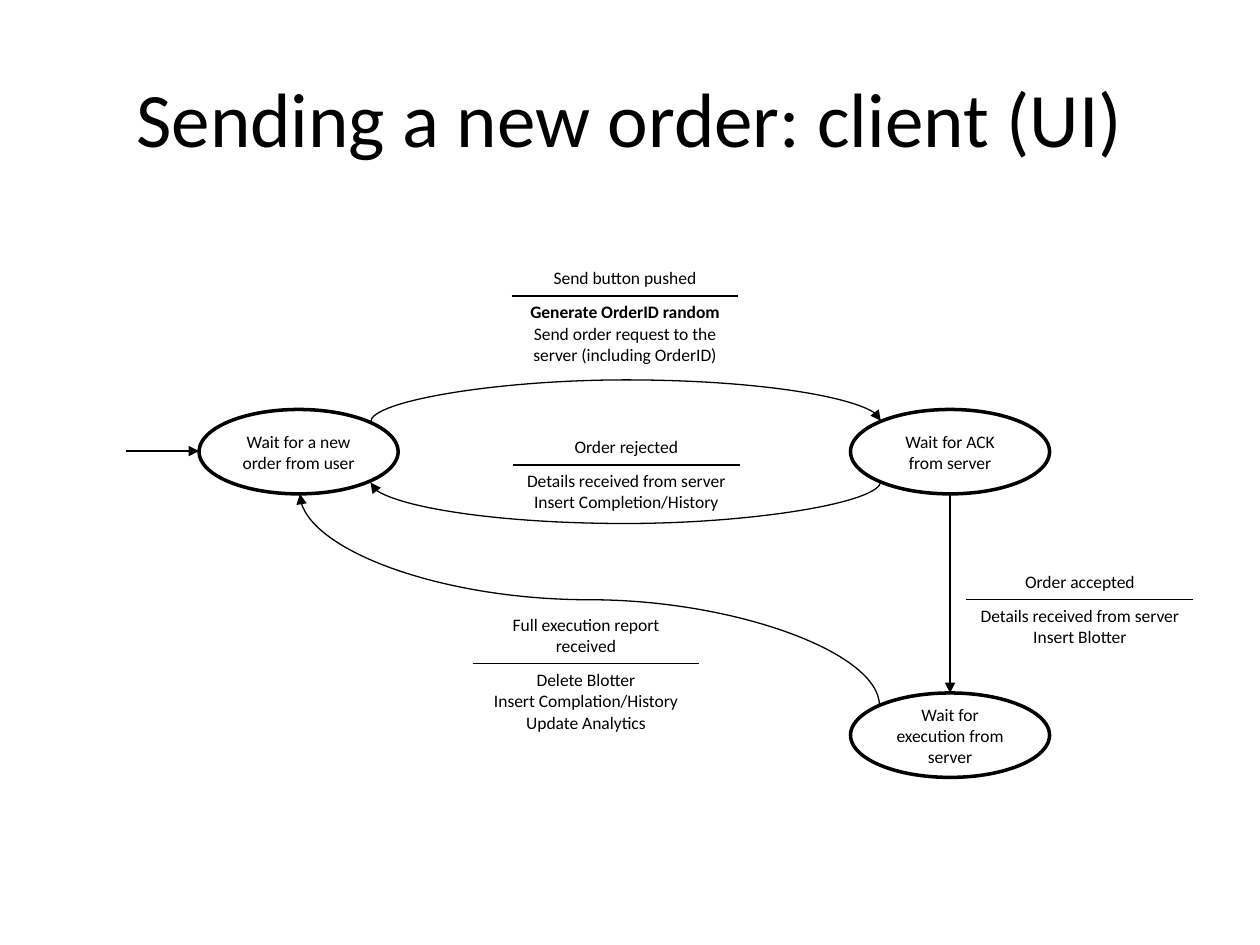
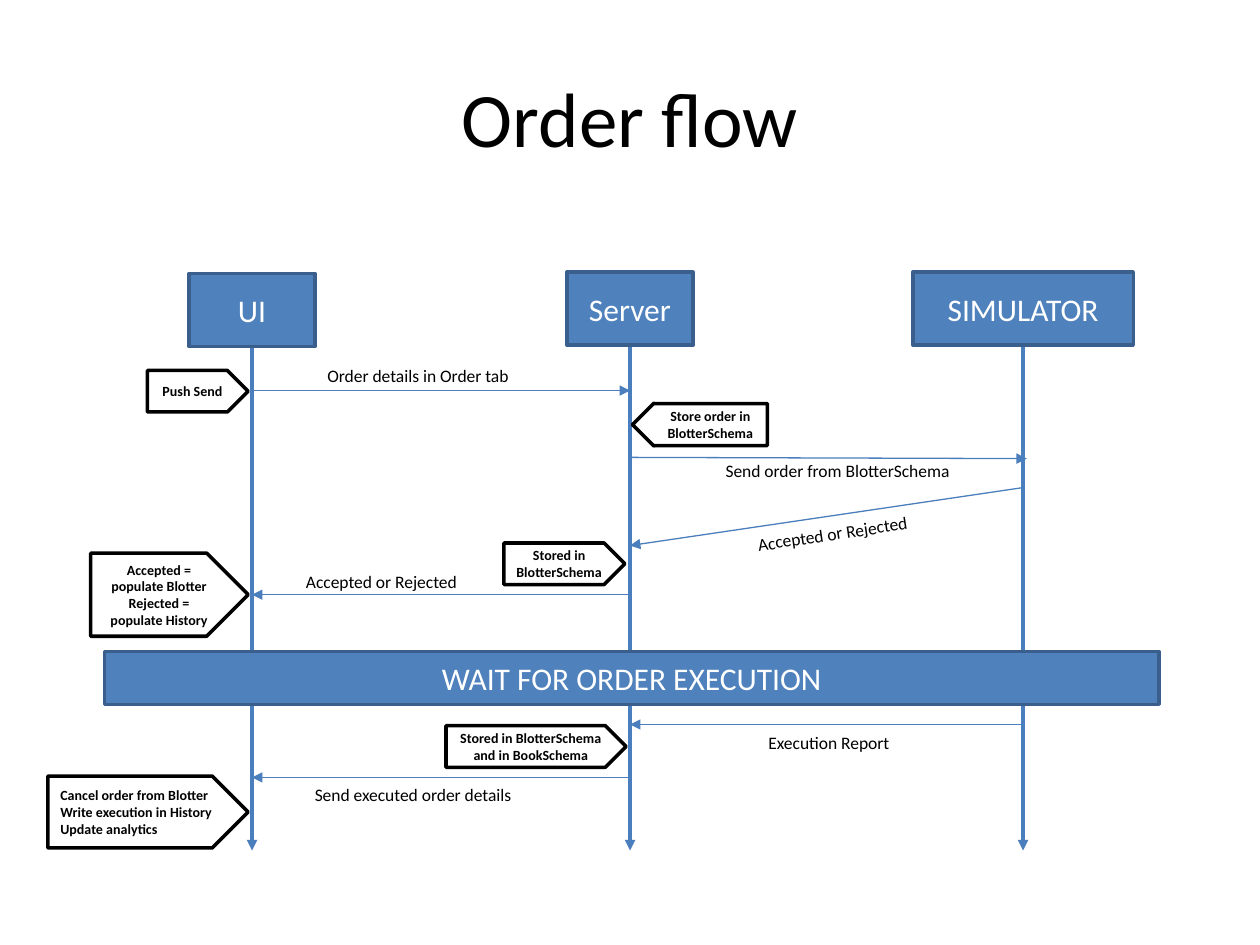
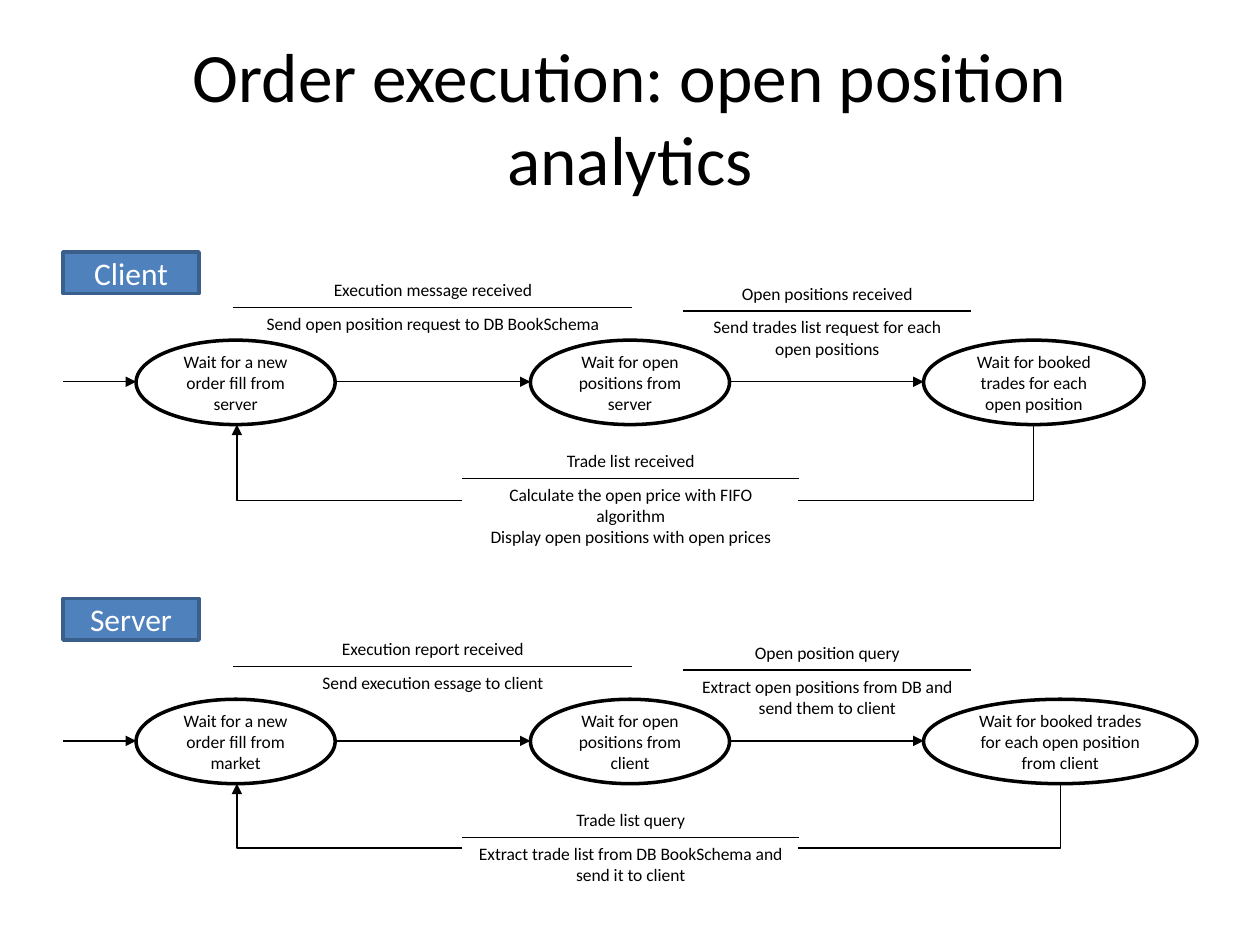
import math

import pptx
import pptx.dml.color
import pptx.enum.shapes
import pptx.enum.text
import pptx.oxml
import pptx.oxml.ns
import pptx.util

Inches = pptx.util.Inches
Pt = pptx.util.Pt
SHAPE = pptx.enum.shapes.MSO_SHAPE
LINE = pptx.enum.shapes.MSO_CONNECTOR
ALIGN = pptx.enum.text.PP_ALIGN
ANCHOR = pptx.enum.text.MSO_ANCHOR
AUTO_SIZE = pptx.enum.text.MSO_AUTO_SIZE

BLACK = pptx.dml.color.RGBColor(0x00, 0x00, 0x00)
WHITE = pptx.dml.color.RGBColor(0xFF, 0xFF, 0xFF)
BLUE = pptx.dml.color.RGBColor(0x4F, 0x81, 0xBD)
DARK_BLUE = pptx.dml.color.RGBColor(0x3A, 0x5F, 0x8C)
LINE_BLUE = pptx.dml.color.RGBColor(0x4B, 0x7E, 0xBC)
FONT = "Calibri"
PLAIN_TABLE_STYLE = "{2D5ABB26-0587-4C30-8999-92F81FD0307C}"
DRAWING_NS = pptx.oxml.ns.nsdecls("a")

# Looks of boxes: fill, line, text colour, text size, bold
STATE = (None, BLACK, BLACK, 10, False)
ACTOR = (BLUE, DARK_BLUE, WHITE, 18, False)
NOTE = (None, BLACK, BLACK, 8, True)


def write_text(frame, lines, size, color=BLACK, bold=False, align=ALIGN.CENTER):
    """Write one paragraph per line; a leading * makes that line bold."""
    for number, line in enumerate(lines):
        paragraph = frame.paragraphs[0] if number == 0 else frame.add_paragraph()
        paragraph.alignment = align
        run = paragraph.add_run()
        run.text = line.lstrip("*")
        run.font.name = FONT
        run.font.size = Pt(size)
        run.font.bold = bold or line.startswith("*")
        run.font.color.rgb = color


def connect(slide, start, end, color=BLACK, width=0.75, arrow=True,
            kind=LINE.STRAIGHT, turn=0, bend_y=None):
    """Draw a connector; turn is the rotation in degrees of a routed one."""
    center_x, center_y = (start[0] + end[0]) / 2, (start[1] + end[1]) / 2
    cosine, sine = math.cos(math.radians(turn)), math.sin(math.radians(turn))
    ends = []
    for x, y in (start, end):
        dx, dy = x - center_x, y - center_y
        ends += [Inches(center_x + dx * cosine + dy * sine),
                 Inches(center_y - dx * sine + dy * cosine)]
    connector = slide.shapes.add_connector(kind, *ends)
    connector.line.color.rgb = color
    connector.line.width = Pt(width)
    properties = connector.element.spPr
    if turn:
        properties.find(pptx.oxml.ns.qn("a:xfrm")).set("rot", str(turn * 60000))
    geometry = properties.find(pptx.oxml.ns.qn("a:prstGeom"))
    if kind == LINE.ELBOW:
        geometry.set("prst", "bentConnector2")
    if bend_y is not None:
        share = round((bend_y - start[1]) / (end[1] - start[1]) * 100000)
        guides = geometry.find(pptx.oxml.ns.qn("a:avLst"))
        guides.append(pptx.oxml.parse_xml(
            f'<a:gd {DRAWING_NS} name="adj1" fmla="val {share}"/>'))
    if arrow:
        properties.find(pptx.oxml.ns.qn("a:ln")).append(
            pptx.oxml.parse_xml(f'<a:tailEnd {DRAWING_NS} type="triangle"/>'))
    properties.append(pptx.oxml.parse_xml(f"<a:effectLst {DRAWING_NS}/>"))


presentation = pptx.Presentation()
presentation.slide_width = Inches(10)
presentation.slide_height = Inches(7.5)

slides = []
for title, size in (("Sending a new order: client (UI)", 44),
                    ("Order flow", 44),
                    ("Order execution: open position analytics", 39.6)):
    slide = presentation.slides.add_slide(presentation.slide_layouts[5])
    placeholder = slide.shapes.title
    placeholder.left, placeholder.top = Inches(0.5), Inches(0.3)
    placeholder.width, placeholder.height = Inches(9), Inches(1.25)
    placeholder.text_frame.auto_size = AUTO_SIZE.NONE
    placeholder.text_frame.vertical_anchor = ANCHOR.MIDDLE
    write_text(placeholder.text_frame, [title], size)
    slides.append(slide)
client_slide, flow_slide, analytics_slide = slides

# Boxes: slide, look, shape, left, top, width, height, lines
boxes = [
    (client_slide, STATE, SHAPE.OVAL, left, top, 1.58, 0.67, [text])
    for left, top, text in (
        (1.58, 3.25, "Wait for a new order from user"),
        (6.75, 3.25, "Wait for ACK from server"),
        (6.75, 5.5, "Wait for execution from server"))
]
# Transitions: slide, left, top, width, event, actions
transitions = [
    (client_slide, 4.06, 2.08, 1.8, "Send button pushed",
     ["*Generate OrderID random",
      "Send order request to the server (including OrderID)"]),
    (client_slide, 4.07, 3.42, 1.8, "Order rejected",
     ["Details received from server", "Insert Completion/History"]),
    (client_slide, 7.67, 4.49, 1.8, "Order accepted",
     ["Details received from server", "Insert Blotter"]),
    (client_slide, 3.75, 4.83, 1.8, "Full execution report received",
     ["Delete Blotter", "Insert Complation/History", "Update Analytics"]),
]

# Client state machine
connect(client_slide, (1, 3.58), (1.58, 3.58))
connect(client_slide, (7.54, 3.92), (7.54, 5.5))
for start, end, turn, bend_y in (
        ((2.94, 3.35), (6.99, 3.34), 90, 3.01),
        ((6.99, 3.82), (2.94, 3.83), 90, 4.16),
        ((6.98, 5.6), (2.38, 3.92), 270, 4.76)):
    connect(client_slide, start, end, kind=LINE.CURVE, turn=turn, bend_y=bend_y)

# Order flow: lifelines, messages and their labels
UI_X, SERVER_X, MARKET_X = 2, 5, 8.12
for center, top, width, name in ((UI_X, 2.17, 1, "UI"),
                                 (SERVER_X, 2.16, 1, "Server"),
                                 (MARKET_X, 2.16, 1.75, "SIMULATOR")):
    connect(flow_slide, (center, top + 0.58), (center, 6.75), LINE_BLUE, 2)
    boxes.append((flow_slide, ACTOR, SHAPE.RECTANGLE,
                  center - width / 2, top, width, 0.58, [name]))

for start, end, left, top, width, turn, text in (
        ((UI_X, 3.1), (SERVER_X, 3.1), 2.5, 2.85, 1.67, 0,
         "Order details in Order tab"),
        ((MARKET_X, 3.87), (SERVER_X, 4.33), 5.91, 4.1, 1.42, 351.5,
         "Accepted or Rejected"),
        ((SERVER_X, 3.63), (8.15, 3.64), 5.66, 3.6, 2.01, 0,
         "Send order from BlotterSchema"),
        ((SERVER_X, 4.72), (UI_X, 4.72), 2.33, 4.48, 1.42, 0,
         "Accepted or Rejected"),
        ((MARKET_X, 5.75), (SERVER_X, 5.75), 6, 5.76, 1.18, 0,
         "Execution Report"),
        ((SERVER_X, 6.17), (UI_X, 6.17), 2.4, 6.17, 1.8, 0,
         "Send executed order details")):
    connect(flow_slide, start, end, LINE_BLUE)
    label = flow_slide.shapes.add_textbox(
        Inches(left), Inches(top), Inches(width), Inches(0.27))
    label.rotation = turn
    label.text_frame.word_wrap = False
    label.text_frame.auto_size = AUTO_SIZE.SHAPE_TO_FIT_TEXT
    write_text(label.text_frame, [text], 10, align=ALIGN.LEFT)

boxes += [
    (flow_slide, ACTOR, SHAPE.RECTANGLE, 0.83, 5.17, 8.37, 0.42,
     ["WAIT FOR ORDER EXECUTION"]),
    (flow_slide, NOTE, SHAPE.PENTAGON, 1.17, 2.94, 0.8, 0.33, ["Push Send"]),
    (flow_slide, NOTE, SHAPE.PENTAGON, 4, 4.31, 0.96, 0.33,
     ["Stored in BlotterSchema"]),
    (flow_slide, NOTE, SHAPE.LEFT_ARROW, 5.02, 3.2, 1.07, 0.34,
     ["Store order in BlotterSchema"]),
    (flow_slide, NOTE, SHAPE.PENTAGON, 0.72, 4.39, 1.25, 0.66,
     ["Accepted = populate Blotter", "Rejected = populate History"]),
    (flow_slide, NOTE, SHAPE.PENTAGON, 3.54, 5.76, 1.43, 0.33,
     ["Stored in BlotterSchema and in BookSchema"]),
    (flow_slide, NOTE, SHAPE.PENTAGON, 0.38, 6.16, 1.59, 0.57,
     ["Cancel order from Blotter", "Write execution in History",
      "Update analytics"]),
]

# Analytics: the same three-state loop for the client and for the server
for name, badge_top, top, last_width, return_y, states, steps in (
        ("Client", 2, 2.7, 1.75, 3.97,
         ("Wait for a new order fill from server",
          "Wait for open positions from server",
          "Wait for booked trades for each open position"),
         (("Execution message received",
           ["Send open position request to DB BookSchema"]),
          ("Open positions received",
           ["Send trades list request for each open positions"]),
          ("Trade list received",
           ["Calculate the open price with FIFO algorithm",
            "Display open positions with open prices"]))),
        ("Server", 4.75, 5.55, 2.17, 6.73,
         ("Wait for a new order fill from market",
          "Wait for open positions from client",
          "Wait for booked trades for each open position from client"),
         (("Execution report received", ["Send execution essage to client"]),
          ("Open position query",
           ["Extract open positions from DB and send them to client"]),
          ("Trade list query",
           ["Extract trade list from DB BookSchema and send it to client"])))):
    boxes.append((analytics_slide, ACTOR, SHAPE.RECTANGLE,
                  0.5, badge_top, 1.08, 0.33, [name]))
    for left, width, text in zip((1.08, 4.21, 7.33), (1.58, 1.58, last_width), states):
        boxes.append((analytics_slide, STATE, SHAPE.OVAL, left, top, width, 0.67, [text]))
    for (left, offset, width), (event, actions) in zip(
            ((1.85, -0.53, 3.17), (5.42, -0.5, 2.29), (3.67, 0.83, 2.67)), steps):
        transitions.append((analytics_slide, left, top + offset, width, event, actions))
    for start_x, end_x in ((0.5, 1.08), (2.67, 4.21), (5.79, 7.33)):
        connect(analytics_slide, (start_x, top + 0.33), (end_x, top + 0.33))
    connect(analytics_slide, (7.33 + last_width / 2, top + 0.67), (6.33, return_y),
            arrow=False, kind=LINE.ELBOW, turn=90)
    connect(analytics_slide, (3.67, return_y), (1.88, top + 0.67),
            kind=LINE.ELBOW, turn=180)

for slide, look, kind, left, top, width, height, lines in boxes:
    fill, outline, text_color, size, bold = look
    shape = slide.shapes.add_shape(
        kind, Inches(left), Inches(top), Inches(width), Inches(height))
    shape.shadow.inherit = False
    if fill is None:
        shape.fill.background()
    else:
        shape.fill.solid()
        shape.fill.fore_color.rgb = fill
    shape.line.color.rgb = outline
    shape.line.width = Pt(2)
    if kind == SHAPE.LEFT_ARROW:
        shape.adjustments[0] = 0.98
    shape.text_frame.word_wrap = True
    shape.text_frame.vertical_anchor = ANCHOR.MIDDLE
    align = ALIGN.LEFT if len(lines) == 3 else ALIGN.CENTER
    write_text(shape.text_frame, lines, size, text_color, bold, align)

for slide, left, top, width, event, actions in transitions:
    frame = slide.shapes.add_table(
        2, 1, Inches(left), Inches(top), Inches(width), Inches(0.5))
    table = frame.table
    table.first_row = table.horz_banding = False
    style = frame.element.find(".//" + pptx.oxml.ns.qn("a:tableStyleId"))
    style.text = PLAIN_TABLE_STYLE
    for row, (lines, edge) in enumerate((([event], "lnB"), (actions, "lnT"))):
        cell = table.cell(row, 0)
        write_text(cell.text_frame, lines, 10)
        cell.fill.background()
        border = pptx.oxml.parse_xml(
            f'<a:{edge} {DRAWING_NS} w="12700"><a:solidFill>'
            f'<a:srgbClr val="{BLACK}"/></a:solidFill></a:{edge}>')
        cell.fill._xPr.insert(0, border)

presentation.save("out.pptx")
